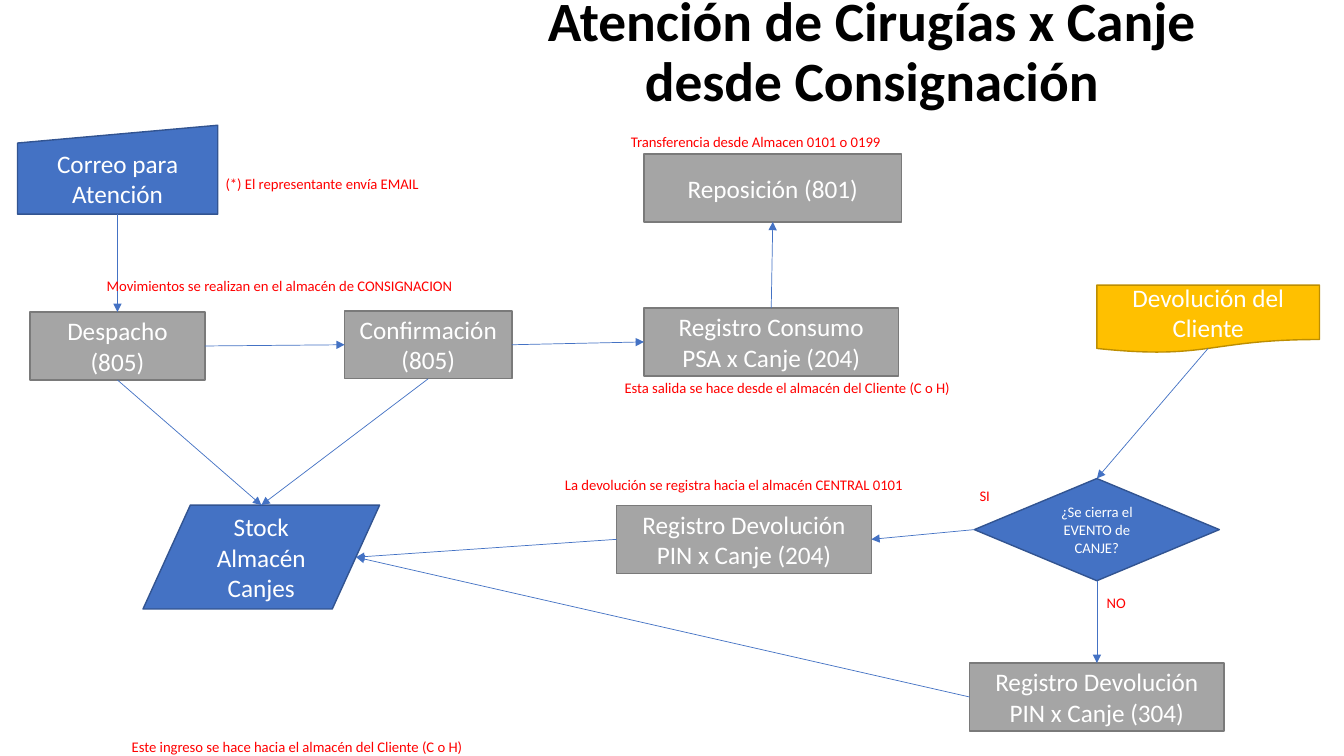
from pptx import Presentation
from pptx import util as u
from pptx.dml import color
from pptx.enum import shapes, text
from pptx.oxml import ns
from lxml import etree

Pt = u.Pt
MSO = shapes.MSO_SHAPE
ALIGN = text.PP_ALIGN
ANCHOR = text.MSO_ANCHOR
TOP, LEFT, BOTTOM, RIGHT = range(4)
GRAY, BLUE, GOLD = ("A5A5A5", "7A7A7A"), ("4472C4", "325491"), ("FFC000", "BD8E00")


def rgb(value):
    return color.RGBColor.from_string(value)


def write(tf, content, size=18, fill="FFFFFF", bold=False, align=ALIGN.CENTER,
          anchor=ANCHOR.MIDDLE, spacing=None):
    tf.word_wrap = True
    tf.vertical_anchor = anchor
    for i, line in enumerate(content.split("\n")):
        p = tf.paragraphs[0] if i == 0 else tf.add_paragraph()
        p.alignment = align
        p.line_spacing = spacing
        r = p.add_run()
        r.text = line
        r.font.name = "Calibri"
        r.font.size = Pt(size)
        r.font.bold = bold
        r.font.color.rgb = rgb(fill)


class FlowSlide:
    """Draw the elements of a flow chart on one slide, in points."""

    def __init__(self, prs, line="4472C4", note="FF0000"):
        self.slide = prs.slides.add_slide(prs.slide_layouts[5])
        self.line, self.note = line, note

    def title(self, content, x, y, w, h):
        sp = self.slide.shapes.title
        sp.left, sp.top, sp.width, sp.height = Pt(x), Pt(y), Pt(w), Pt(h)
        sp.text_frame.auto_size = text.MSO_AUTO_SIZE.NONE
        write(sp.text_frame, content, size=39.6, fill="000000", bold=True, spacing=0.9)

    def step(self, content, x, y, w, h=48.5, kind=MSO.FLOWCHART_PROCESS,
             colors=GRAY, size=18):
        sp = self.slide.shapes.add_shape(kind, Pt(x), Pt(y), Pt(w), Pt(h))
        sp.shadow.inherit = False
        fill, border = colors
        sp.fill.solid()
        sp.fill.fore_color.rgb = rgb(fill)
        sp.line.color.rgb = rgb(border)
        sp.line.width = Pt(1)
        write(sp.text_frame, content, size=size)
        return sp

    def label(self, content, x, y, w, h=20):
        sp = self.slide.shapes.add_textbox(Pt(x), Pt(y), Pt(w), Pt(h))
        write(sp.text_frame, content, size=10.5, fill=self.note,
              align=ALIGN.JUSTIFY, anchor=ANCHOR.TOP)
        sp.text_frame.auto_size = text.MSO_AUTO_SIZE.SHAPE_TO_FIT_TEXT

    def arrow(self, start, end, kind=shapes.MSO_CONNECTOR.STRAIGHT):
        ends = [(0, 0) if hasattr(e[0], "shape_id") else map(Pt, e) for e in (start, end)]
        (x1, y1), (x2, y2) = ends
        c = self.slide.shapes.add_connector(kind, x1, y1, x2, y2)
        if hasattr(start[0], "shape_id"):
            c.begin_connect(*start)
        if hasattr(end[0], "shape_id"):
            c.end_connect(*end)
        c.line.color.rgb = rgb(self.line)
        c.line.width = Pt(0.5)
        spPr = c._element.spPr
        etree.SubElement(spPr.get_or_add_ln(), ns.qn("a:tailEnd"), type="triangle")
        etree.SubElement(spPr, ns.qn("a:effectLst"))
        return c

    def elbow_down(self, start, end):
        c = self.arrow(start, end, shapes.MSO_CONNECTOR.ELBOW)
        x, y = (c.begin_x + c.end_x) // 2, (c.begin_y + c.end_y) // 2
        w, h = abs(c.end_y - c.begin_y), abs(c.end_x - c.begin_x)
        c.left, c.top, c.width, c.height = x - w // 2, y - h // 2, w, h
        xfrm = c._element.spPr.find(ns.qn("a:xfrm"))
        xfrm.attrib.pop("flipH", None)
        xfrm.set("rot", "5400000")


def main():
    prs = Presentation()
    prs.slide_width, prs.slide_height = Pt(960), Pt(540)
    s = FlowSlide(prs)
    s.title("Atención de Cirugías x Canje desde Consignación", 351.4, 12.2, 542.9, 52.6)

    email = s.step("Correo para Atención", 12.5, 89.5, 143, 63.5,
                   MSO.FLOWCHART_MANUAL_INPUT, BLUE)
    dispatch = s.step("Despacho (805)", 21.4, 222.9, 125)
    confirm = s.step("Confirmación\n(805)", 246.2, 222, 119.5)
    usage = s.step("Registro Consumo\nPSA x Canje (204)", 460, 220, 181.8)
    refill = s.step("Reposición (801)", 460, 110, 184)
    s.step("Devolución del Cliente", 783.5, 203.6, 159, 48.5,
           MSO.FLOWCHART_DOCUMENT, GOLD)
    s.step("Stock\nAlmacén\nCanjes", 102.2, 360.8, 169, 74.2,
           MSO.FLOWCHART_DATA, BLUE)
    closed = s.step("¿Se cierra el EVENTO de CANJE?", 696, 341.8, 175, 73,
                    MSO.FLOWCHART_DECISION, BLUE, 10.5)
    return_yes = s.step("Registro Devolución\nPIN x Canje (204)", 440.6, 361, 181.8)
    return_no = s.step("Registro Devolución\nPIN x Canje (304)", 692.6, 473.6, 181.8)

    stock_top, stock_right, return_bottom = (186.7, 360.8), (254.4, 398), (863, 248.8)
    s.elbow_down((email, BOTTOM), (dispatch, TOP))
    for start, end in [
        ((dispatch, RIGHT), (confirm, LEFT)),
        ((confirm, RIGHT), (usage, LEFT)),
        ((usage, TOP), (refill, BOTTOM)),
        ((dispatch, BOTTOM), stock_top),
        ((confirm, BOTTOM), stock_top),
        (return_bottom, (closed, TOP)),
        ((closed, LEFT), (return_yes, RIGHT)),
        ((closed, BOTTOM), (return_no, TOP)),
        ((return_yes, LEFT), stock_right),
        ((return_no, LEFT), stock_right),
    ]:
        s.arrow(start, end)

    for content, x, y, w in [
        ("(*) El representante envía EMAIL", 154, 121.7, 252.7),
        ("Transferencia desde Almacen 0101 o 0199", 443.5, 91.4, 218),
        ("Movimientos se realizan en el almacén de CONSIGNACION", 69.1, 194.4, 303),
        ("Esta salida se hace desde el almacén del Cliente (C o H)", 439, 267, 252.7),
        ("La devolución se registra hacia el almacén CENTRAL 0101", 396.5, 336.2, 285),
        ("SI", 692.6, 344.2, 25.2),
        ("NO", 783.4, 420.5, 34.6),
        ("Este ingreso se hace hacia el almacén del Cliente (C o H)", 87, 523.4, 252.7),
    ]:
        s.label(content, x, y, w)
    prs.save("out.pptx")


if __name__ == "__main__":
    main()
